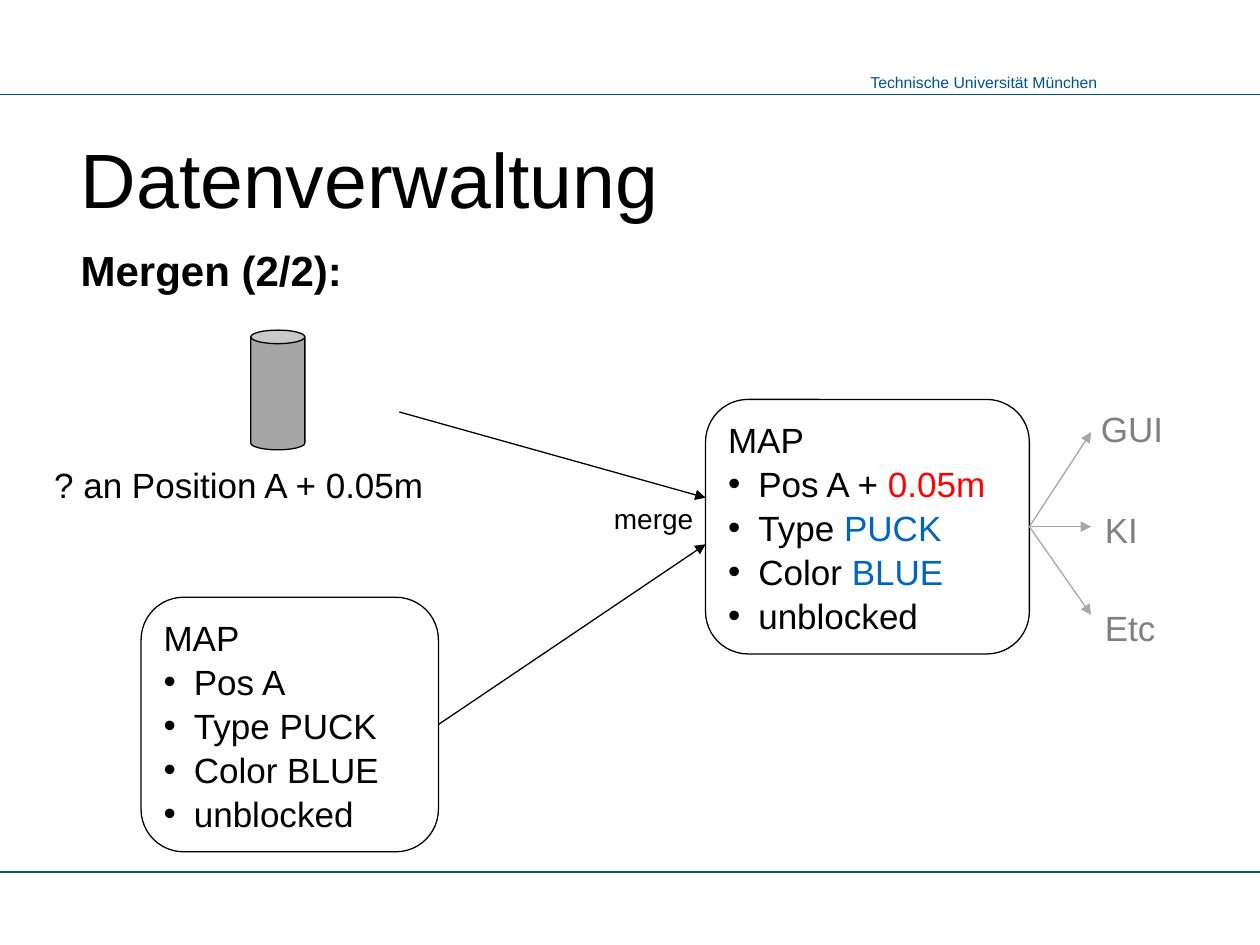
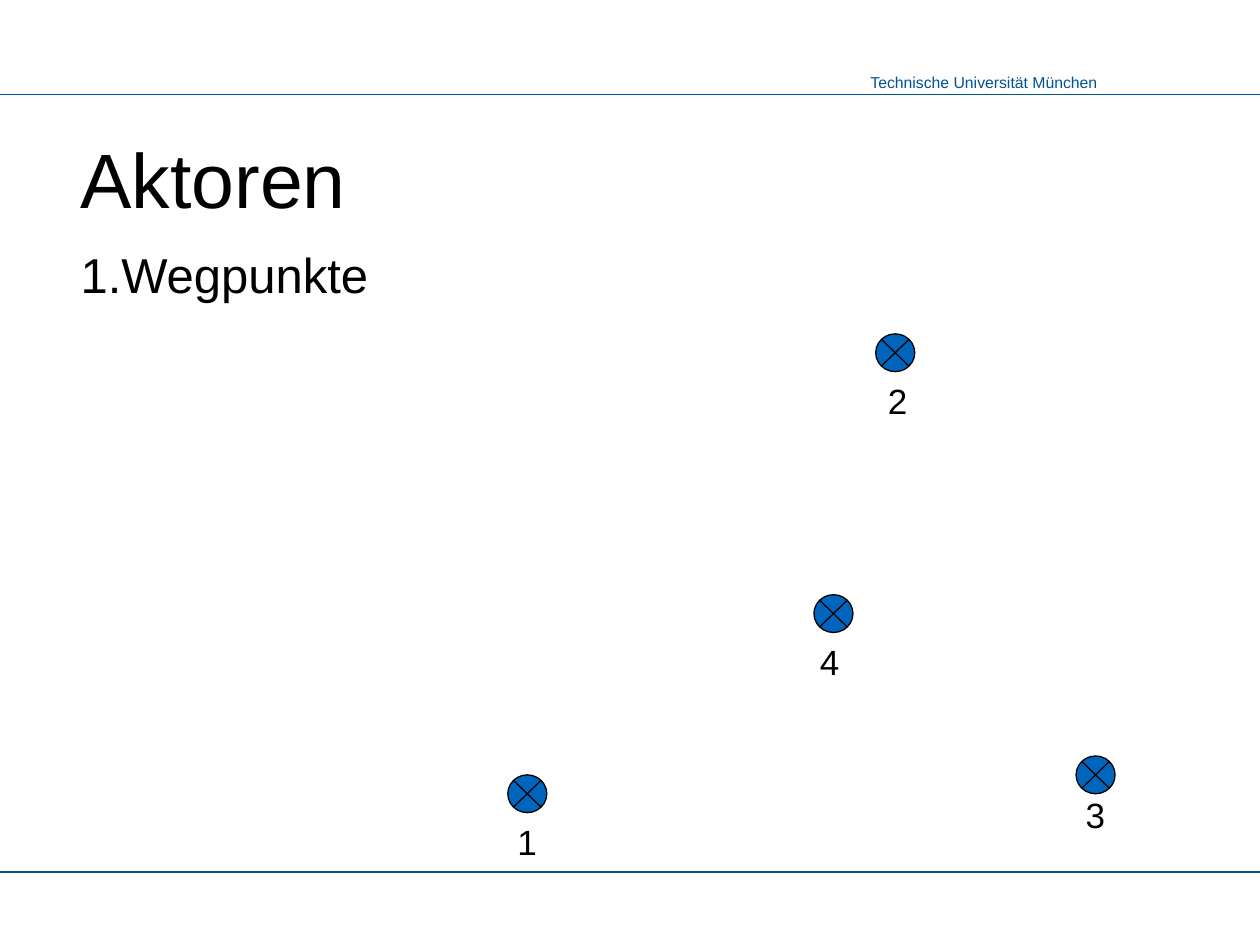
from dataclasses import dataclass

import pptx
import pptx.dml.color
import pptx.enum.shapes
import pptx.enum.text
import pptx.oxml
import pptx.oxml.ns
import pptx.util

PX = 9144  # EMU per px, 100 px to the inch
FONT = "Arial"
LINE_SPACING = 1.05
LINE_WIDTH = pptx.util.Pt(0.75)
COLOURS = {
    "black": "000000",
    "header": "005293",
    "blue": "0065BD",
    "red": "FF0000",
    "grey": "A6A6A6",
    "output": "808080",
}
ALIGN = pptx.enum.text.PP_ALIGN
ANCHOR = pptx.enum.text.MSO_ANCHOR
PRESET = pptx.enum.shapes.MSO_SHAPE
BULLET = ('<a:buFont {ns} typeface="Arial"/>', '<a:buChar {ns} char="•"/>')
NUMBER = ('<a:buAutoNum {ns} type="arabicPeriod"/>',)
NO_BULLET = ("<a:buNone {ns}/>",)


@dataclass(frozen=True)
class Box:
    left: int
    top: int
    width: int
    height: int

    def emu(self) -> list[int]:
        return [side * PX for side in (self.left, self.top, self.width, self.height)]


@dataclass(frozen=True)
class Run:
    text: str
    colour: str = "black"


@dataclass(frozen=True)
class MapEntry:
    box: Box
    properties: list[list[Run]]


@dataclass(frozen=True)
class Label:
    text: str
    box: Box
    size: int = 20
    colour: str = "black"
    align: ALIGN = ALIGN.RIGHT


@dataclass(frozen=True)
class Arrow:
    start: tuple[int, int]
    end: tuple[int, int]
    colour: str = "black"


@dataclass(frozen=True)
class Waypoint:
    marker: tuple[int, int]
    label: Label


def rgb(colour: str) -> pptx.dml.color.RGBColor:
    return pptx.dml.color.RGBColor.from_string(COLOURS[colour])


def add_xml(parent, markup: str) -> None:
    namespace = pptx.oxml.ns.nsdecls("a")
    parent.append(pptx.oxml.parse_xml(markup.format(ns=namespace)))


def write(paragraph, text: str | list[Run], *, size: int, colour: str = "black",
          bold: bool = False, align: ALIGN = ALIGN.LEFT,
          bullet: tuple[str, ...] = NO_BULLET, indent: int = 0) -> None:
    """Fill one paragraph with formatted text."""
    properties = paragraph._p.get_or_add_pPr()
    properties.set("marL", str(indent * PX))
    properties.set("indent", str(-indent * PX))
    for markup in bullet:
        add_xml(properties, markup)
    paragraph.alignment = align
    paragraph.line_spacing = LINE_SPACING
    paragraph.space_before = pptx.util.Pt(0)
    paragraph.font.size = pptx.util.Pt(size)
    for part in [Run(text, colour)] if isinstance(text, str) else text:
        run = paragraph.add_run()
        run.text = part.text
        run.font.name = FONT
        run.font.size = pptx.util.Pt(size)
        run.font.bold = bold
        run.font.color.rgb = rgb(part.colour)


def set_frame(frame, *, across: int, down: int, wrap: bool = True,
              anchor: ANCHOR = ANCHOR.TOP) -> None:
    frame.margin_left = frame.margin_right = across * PX
    frame.margin_top = frame.margin_bottom = down * PX
    frame.auto_size = pptx.enum.text.MSO_AUTO_SIZE.NONE
    frame.word_wrap = wrap
    frame.vertical_anchor = anchor


def fill_placeholder(placeholder, box: Box, text: str, inset: int, **text_format) -> None:
    placeholder.left, placeholder.top, placeholder.width, placeholder.height = box.emu()
    set_frame(placeholder.text_frame, across=8, down=inset)
    write(placeholder.text_frame.paragraphs[0], text, **text_format)


def add_label(slide, label: Label) -> None:
    frame = slide.shapes.add_textbox(*label.box.emu()).text_frame
    set_frame(frame, across=10, down=5, wrap=False)
    write(frame.paragraphs[0], label.text, size=label.size, colour=label.colour,
          align=label.align)


def add_line(slide, line: Arrow, head: bool = True) -> None:
    ends = [value * PX for value in (*line.start, *line.end)]
    connector = slide.shapes.add_connector(
        pptx.enum.shapes.MSO_CONNECTOR.STRAIGHT, *ends)
    connector.line.color.rgb = rgb(line.colour)
    connector.line.width = LINE_WIDTH
    if head:
        add_xml(connector.line._get_or_add_ln(), '<a:tailEnd {ns} type="triangle"/>')
    add_xml(connector._element.spPr, "<a:effectLst {ns}/>")


def add_preset(slide, preset: PRESET, box: Box, fill: str | None = None):
    shape = slide.shapes.add_shape(preset, *box.emu())
    shape.shadow.inherit = False
    if fill:
        shape.fill.solid()
        shape.fill.fore_color.rgb = rgb(fill)
    else:
        shape.fill.background()
    shape.line.color.rgb = rgb("black")
    shape.line.width = LINE_WIDTH
    return shape


def add_map_entry(slide, entry: MapEntry) -> None:
    shape = add_preset(slide, PRESET.ROUNDED_RECTANGLE, entry.box)
    shape.adjustments[0] = 0.167
    frame = shape.text_frame
    set_frame(frame, across=8, down=4, anchor=ANCHOR.MIDDLE)
    write(frame.paragraphs[0], "MAP", size=20)
    for item in entry.properties:
        write(frame.add_paragraph(), item, size=20, bullet=BULLET, indent=24)


def add_slide(deck, title: str, subtitle: str, **subtitle_format):
    """Start a slide with the shared header, rules, title and subtitle."""
    slide = deck.slides.add_slide(deck.slide_layouts[1])
    add_label(slide, Label("Technische Universität München", Box(681, 52, 201, 25),
                           9, "header", ALIGN.LEFT))
    for rule_y in (692, 75):
        add_line(slide, Arrow((0, rule_y), (1000, rule_y), "header"), head=False)
    fill_placeholder(slide.shapes.title, Box(56, 93, 889, 66), title, 8, size=44)
    fill_placeholder(slide.placeholders[1], Box(56, 186, 889, 489), subtitle, 6,
                     **subtitle_format)
    return slide


# Merging: known entry plus new observation give the updated entry
KNOWN = MapEntry(Box(112, 474, 236, 202), [
    [Run("Pos A")], [Run("Type PUCK")], [Run("Color BLUE")], [Run("unblocked")]])
MERGED = MapEntry(Box(560, 317, 257, 202), [
    [Run("Pos A + "), Run("0.05m", "red")],
    [Run("Type "), Run("PUCK", "blue")],
    [Run("Color "), Run("BLUE", "blue")],
    [Run("unblocked")]])
MERGE_OUT = (817, 418)
MERGE_ARROWS = [
    Arrow((348, 575), (560, 432)),
    Arrow((317, 327), (560, 395)),
    *(Arrow(MERGE_OUT, (866, y), "grey") for y in (343, 418, 488)),
]
MERGE_LABELS = [
    Label("? an Position A + 0.05m", Box(34, 361, 312, 43)),
    Label("merge", Box(477, 392, 83, 36), 16),
    Label("GUI", Box(864, 317, 69, 43), colour="output"),
    Label("KI", Box(867, 397, 46, 43), colour="output"),
    Label("Etc", Box(867, 475, 60, 43), colour="output", align=ALIGN.LEFT),
]

# Waypoints: marker corner and number
WAYPOINTS = [
    Waypoint((403, 615), Label("1", Box(401, 645, 35, 43))),
    Waypoint((695, 265), Label("2", Box(695, 295, 35, 43))),
    Waypoint((854, 600), Label("3", Box(852, 623, 35, 43))),
    Waypoint((646, 472), Label("4", Box(641, 502, 35, 43))),
]


def build_merging(deck) -> None:
    slide = add_slide(deck, "Datenverwaltung", "Mergen (2/2):", size=24, bold=True)
    puck = add_preset(slide, PRESET.CAN, Box(199, 262, 43, 95), "grey")
    puck.adjustments[0] = 0.25
    for entry in (KNOWN, MERGED):
        add_map_entry(slide, entry)
    for arrow in MERGE_ARROWS:
        add_line(slide, arrow)
    for label in MERGE_LABELS:
        add_label(slide, label)


def build_waypoints(deck) -> None:
    slide = add_slide(deck, "Aktoren", "Wegpunkte", size=28, bullet=NUMBER)
    for waypoint in WAYPOINTS:
        add_preset(slide, PRESET.FLOWCHART_SUMMING_JUNCTION,
                   Box(*waypoint.marker, 31, 30), "blue")
        add_label(slide, waypoint.label)


def main() -> None:
    deck = pptx.Presentation()
    deck.slide_width, deck.slide_height = 1000 * PX, 750 * PX
    build_merging(deck)
    build_waypoints(deck)
    deck.save("out.pptx")


if __name__ == "__main__":
    main()
